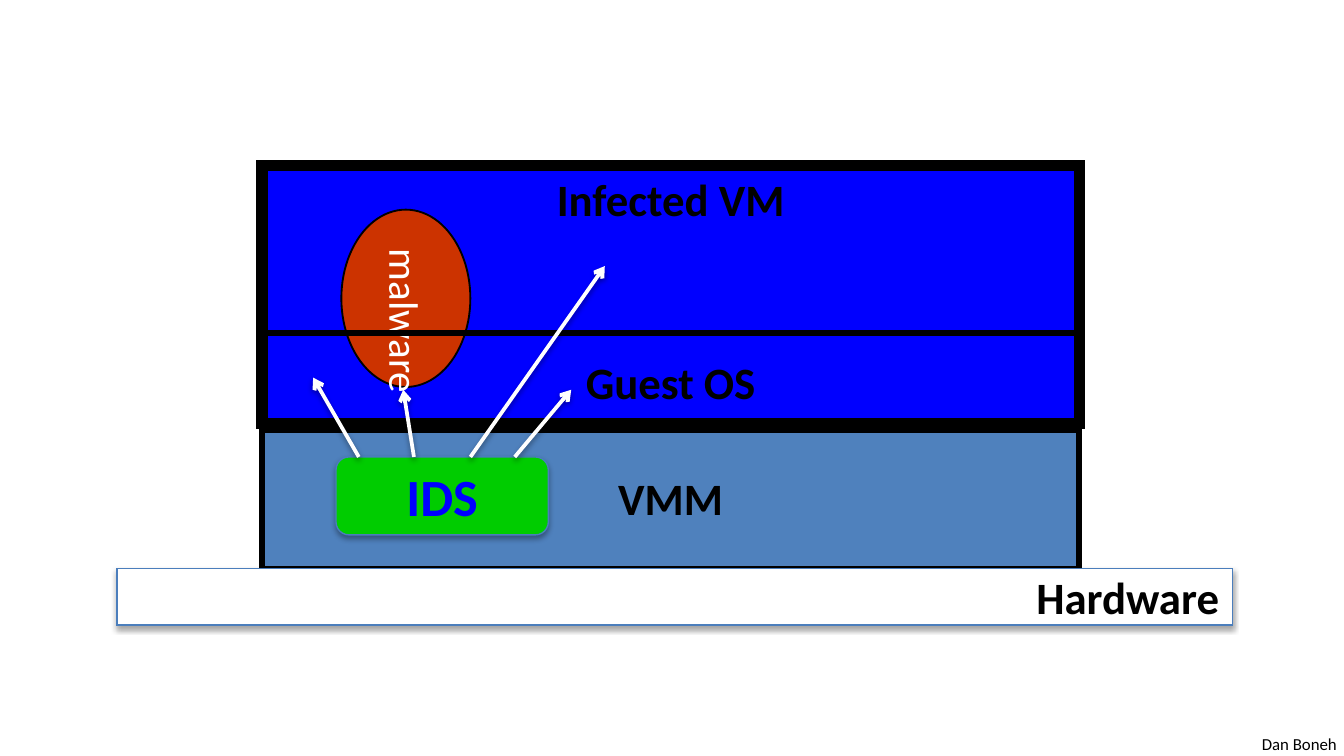
"""Builds a slide showing an IDS inside a VMM watching an infected virtual machine."""
from lxml import etree
from pptx import Presentation
from pptx.dml.color import RGBColor
from pptx.enum.shapes import MSO_CONNECTOR, MSO_SHAPE
from pptx.enum.text import MSO_ANCHOR, PP_ALIGN
from pptx.oxml.ns import qn
from pptx.util import Inches, Pt

RECT, OVAL, ROUND = MSO_SHAPE.RECTANGLE, MSO_SHAPE.OVAL, MSO_SHAPE.ROUNDED_RECTANGLE
TOP, MIDDLE = MSO_ANCHOR.TOP, MSO_ANCHOR.MIDDLE
CENTER, RIGHT = PP_ALIGN.CENTER, PP_ALIGN.RIGHT
STRAIGHT = MSO_CONNECTOR.STRAIGHT

FONT = "Calibri"
COLORS = {
    "black": "000000", "white": "FFFFFF", "blue": "0000FF", "red": "CC3300",
    "steel": "4F81BD", "edge": "4B7EBC", "green": "00CC00",
}
STACK_LEFT, STACK_WIDTH = 1.95, 6.08
IDS_TOP = 3.4

BOXES = [
    dict(text="Infected VM", at=(STACK_LEFT, 1.23, STACK_WIDTH, 1.92),
         fill="blue", line=("black", 6), anchor=TOP),
    dict(text="malware", at=(2.54, 1.56, 0.96, 1.32), kind=OVAL, fill="red",
         line=("black", 1), size=22, color="white", bold=False, vert="eaVert"),
    dict(text="VMM", at=(STACK_LEFT, 3.17, STACK_WIDTH, 1.06),
         fill="steel", line=("black", 3)),
    dict(text="Guest OS", at=(STACK_LEFT, 2.48, STACK_WIDTH, 0.72),
         line=("black", 3)),
    dict(text="Hardware", at=(0.87, 4.23, 8.3, 0.42), fill="white",
         line=("edge", 0.75), align=RIGHT, wrap=True, shadow=35),
    dict(text="IDS", at=(2.5, IDS_TOP, 1.58, 0.58), kind=ROUND, fill="green",
         line=("edge", 0.75), size=28, color="blue", wrap=True, shadow=35),
]
PROBES = [(3.83, 4.25, 2.9), (3.5, 4.5, 1.98), (3.08, 3, 2.9), (2.67, 2.33, 2.81)]
CREDIT = dict(text="Dan Boneh", at=(9.29, 5.41, 0.76, 0.25))


def rgb(name):
    return RGBColor.from_string(COLORS[name])


def set_line(sp, color, width, tag, **attributes):
    sp.line.color.rgb, sp.line.width = rgb(color), Pt(width)
    etree.SubElement(sp.element.spPr.find(qn("a:ln")), qn(tag), **attributes)


def add_shadow(sp, opacity, distance):
    effects = etree.SubElement(sp.element.spPr, qn("a:effectLst"))
    outer = etree.SubElement(effects, qn("a:outerShdw"), blurRad=str(Pt(3.1)),
                             dist=str(Pt(distance)), dir="5400000", rotWithShape="0")
    color = etree.SubElement(outer, qn("a:srgbClr"), val=COLORS["black"])
    etree.SubElement(color, qn("a:alpha"), val=str(opacity * 1000))


def set_text(sp, text, size, color="black", bold=False, align=None, anchor=TOP, wrap=False):
    tf = sp.text_frame
    tf.word_wrap, tf.vertical_anchor = wrap, anchor
    p = tf.paragraphs[0]
    p.text, p.alignment = text, align
    p.font.name, p.font.size, p.font.bold = FONT, Pt(size), bold
    p.font.color.rgb = rgb(color)


def add_box(s, text, at, line, kind=RECT, fill=None, size=24, color="black", bold=True,
            align=CENTER, anchor=MIDDLE, wrap=False, vert=None, shadow=None):
    sp = s.shapes.add_shape(kind, *map(Inches, at))
    if fill:
        sp.fill.solid()
        sp.fill.fore_color.rgb = rgb(fill)
    else:
        sp.fill.background()
    set_line(sp, *line, "a:miter", lim="800000")
    if shadow:
        add_shadow(sp, shadow, 1.8)
    else:
        sp.shadow.inherit = False
    set_text(sp, text, size, color, bold, align, anchor, wrap)
    if vert:
        sp.element.txBody.bodyPr.set("vert", vert)


def add_probe(s, start_x, end_x, end_y):
    sp = s.shapes.add_connector(STRAIGHT, *map(Inches, (start_x, IDS_TOP, end_x, end_y)))
    set_line(sp, "white", 2, "a:tailEnd", type="arrow")
    add_shadow(sp, 38, 1.6)


def main():
    prs = Presentation()
    prs.slide_width = Inches(10)
    prs.slide_height = prs.slide_width * 9 // 16
    s = prs.slides.add_slide(prs.slide_layouts[6])
    set_text(s.shapes.add_textbox(*map(Inches, CREDIT["at"])), CREDIT["text"], 9)
    for box in BOXES:
        add_box(s, **box)
    for probe in PROBES:
        add_probe(s, *probe)
    prs.save("out.pptx")


if __name__ == "__main__":
    main()
